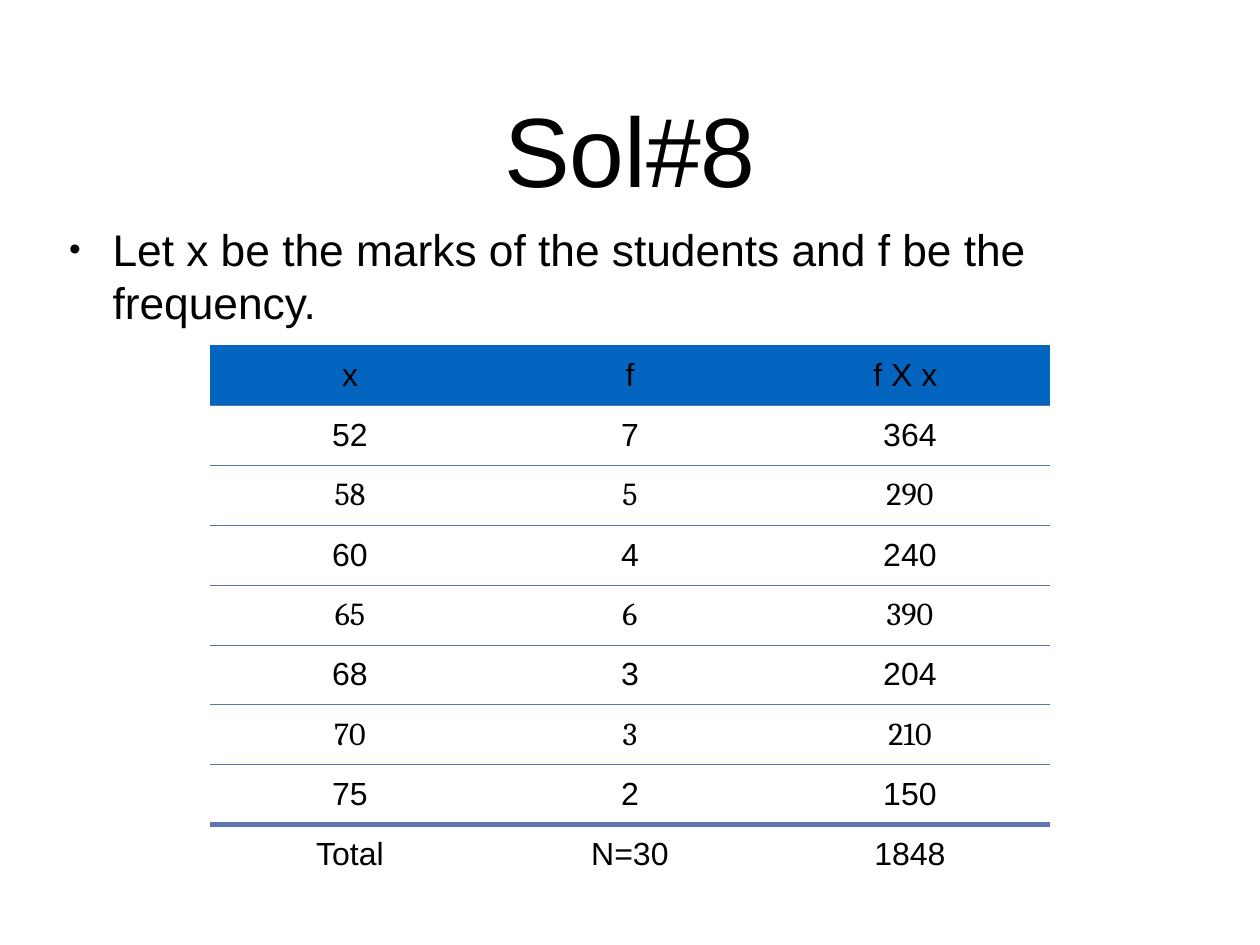
from lxml.etree import SubElement
from pptx import Presentation
from pptx.dml.color import RGBColor
from pptx.enum.text import MSO_ANCHOR, PP_ALIGN
from pptx.oxml.ns import qn
from pptx.util import Inches, Pt

BLACK = RGBColor(0x00, 0x00, 0x00)
HEADER_BLUE = RGBColor(0x03, 0x65, 0xC0)
ROW_RULE = RGBColor(0x5C, 0x72, 0xB2)
TOTAL_RULE = RGBColor(0x60, 0x76, 0xB4)

THIN = (ROW_RULE, 0.75)
THICK = (TOTAL_RULE, 4)

HEADINGS = ("x", "f", "f X x ")
MARKS = (
    ("52", "7", "364"),
    ("58", "5", "290"),
    ("60", "4", "240"),
    ("65", "6", "390"),
    ("68", "3", "204"),
    ("70", "3", "210"),
    ("75", "2", "150"),
)
TOTALS = ("Total", "N=30", "1848")


def add_run(paragraph, text, size, font="Arial"):
    run = paragraph.add_run()
    run.text = text
    run.font.size = Pt(size)
    run.font.name = font
    run.font.color.rgb = BLACK


def add_text(slide, box, text, size):
    """Add a vertically centred text box and return its paragraph."""
    frame = slide.shapes.add_textbox(*map(Inches, box)).text_frame
    frame.word_wrap = True
    frame.vertical_anchor = MSO_ANCHOR.MIDDLE
    frame.margin_left = frame.margin_right = 0
    frame.margin_top = frame.margin_bottom = 0
    paragraph = frame.paragraphs[0]
    add_run(paragraph, text, size)
    return paragraph


def add_title(slide, box):
    add_text(slide, box, "Sol#8", 80).alignment = PP_ALIGN.CENTER


def add_statement(slide, box):
    statement = add_text(
        slide, box,
        "Let x be the marks of the students and f be the frequency.", 36)
    props = statement._p.get_or_add_pPr()
    indent = Inches(0.49)
    props.set("marL", str(indent))
    props.set("indent", str(-indent))
    bullet_color = SubElement(props, qn("a:buClr"))
    SubElement(bullet_color, qn("a:srgbClr"), val=str(BLACK))
    SubElement(props, qn("a:buSzPct"), val="75000")
    SubElement(props, qn("a:buFont"), typeface="Arial")
    SubElement(props, qn("a:buChar"), char="•")


def set_borders(cell, top, bottom):
    """Draw the given (colour, width) rules and clear the other sides."""
    props = cell._tc.get_or_add_tcPr()
    sides = {"a:lnL": None, "a:lnR": None, "a:lnT": top, "a:lnB": bottom}
    for side, rule in sides.items():
        line = SubElement(props, qn(side))
        if rule is None:
            SubElement(line, qn("a:noFill"))
            continue
        color, width = rule
        line.set("w", str(Pt(width)))
        fill = SubElement(line, qn("a:solidFill"))
        SubElement(fill, qn("a:srgbClr"), val=str(color))


def add_frequency_table(slide, box):
    rows = (HEADINGS, *MARKS, TOTALS)
    # One rule above each row, plus one below the last
    rules = [None] + [THIN] * len(MARKS) + [THICK, None]
    table = slide.shapes.add_table(
        len(rows), len(HEADINGS), *map(Inches, box)).table
    table.first_row = False
    table.horz_banding = False

    for row_index, values in enumerate(rows):
        cambria_row = row_index % 2 == 0 and 0 < row_index < len(rows) - 1
        for column, value in enumerate(values):
            cell = table.cell(row_index, column)
            cell.vertical_anchor = MSO_ANCHOR.MIDDLE
            cell.margin_left = cell.margin_right = Inches(0.05)
            cell.margin_top = cell.margin_bottom = Inches(0.05)
            set_borders(cell, rules[row_index], rules[row_index + 1])
            if row_index == 0:
                cell.fill.solid()
                cell.fill.fore_color.rgb = HEADER_BLUE
            else:
                cell.fill.background()
            paragraph = cell.text_frame.paragraphs[0]
            paragraph.alignment = PP_ALIGN.CENTER
            add_run(paragraph, value, 26, "Cambria" if cambria_row else "Arial")


def main():
    deck = Presentation()
    deck.slide_width = Inches(14.22)
    deck.slide_height = Inches(10.67)
    slide = deck.slides.add_slide(deck.slide_layouts[6])
    add_title(slide, (1.04, 0.49, 12.14, 2.36))
    add_statement(slide, (0.78, -0.33, 12.14, 6.88))
    add_frequency_table(slide, (2.37, 3.9, 9.48, 6.09))
    deck.save("out.pptx")


if __name__ == "__main__":
    main()
